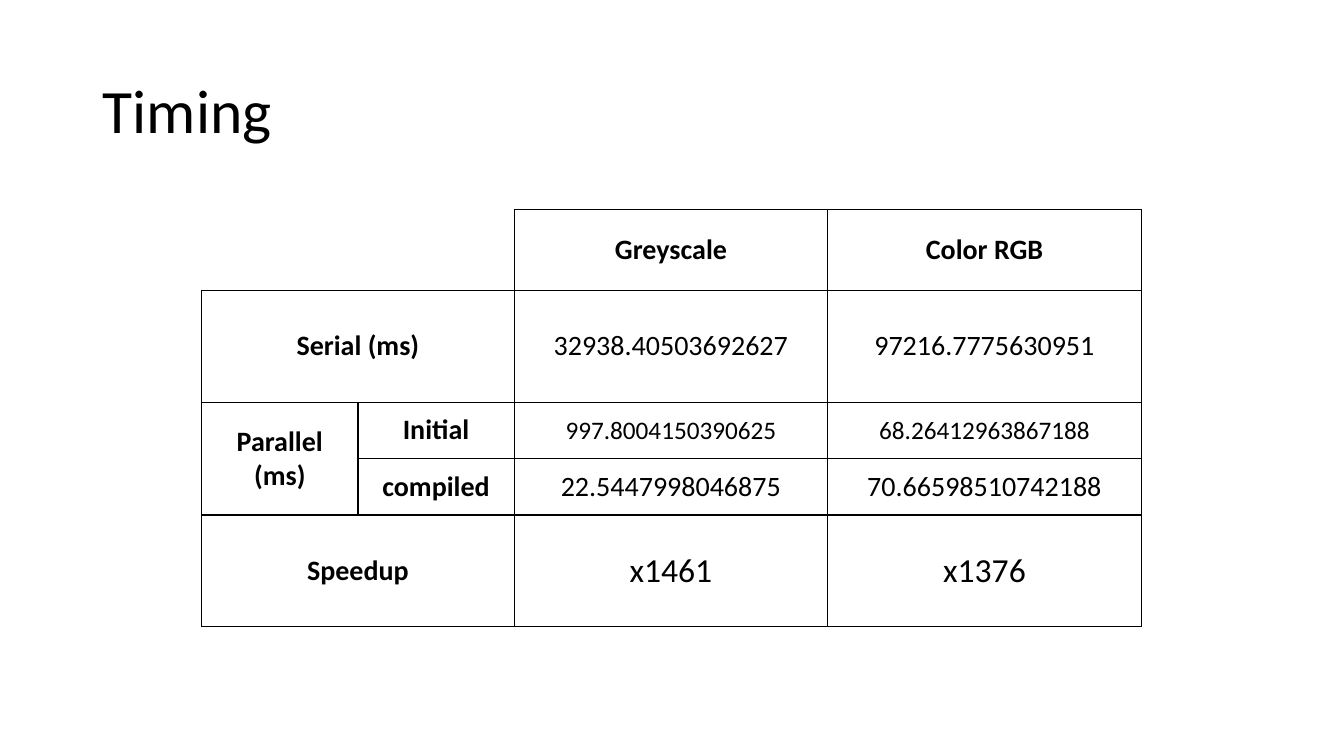
from lxml.etree import SubElement
from pptx import Presentation
from pptx.dml.color import RGBColor
from pptx.enum.text import MSO_ANCHOR, PP_ALIGN
from pptx.oxml.ns import qn
from pptx.util import Inches, Pt

BLACK = RGBColor(0, 0, 0)
FONT = "Calibri"
LABEL_COLUMNS = 2
COLUMN_WIDTHS = (1.55, 1.55, 3.11, 3.11)
ROW_HEIGHTS = (0.8, 1.11, 0.56, 0.56, 1.11)
# Text of each row and the size of its values
TIMINGS = (
    (("", "", "Greyscale", "Color RGB"), 20),
    (("Serial (ms)", "", "32938.40503692627", "97216.7775630951"), 20),
    (("Parallel (ms)", "Initial", "997.8004150390625", "68.26412963867188"), 18),
    (("", "compiled", "22.5447998046875", "70.66598510742188"), 20),
    (("Speedup", "", "x1461", "x1376"), 24),
)
# First and last cell of each merged area
MERGES = (((0, 0), (0, 1)), ((1, 0), (1, 1)), ((2, 0), (3, 0)), ((4, 0), (4, 1)))


def format_font(font, size, bold=False):
    font.name = FONT
    font.size = Pt(size)
    font.bold = bold
    font.color.rgb = BLACK


def add_title(slide, wording):
    title = slide.shapes.title
    title.left, title.top = Inches(0.92), Inches(0.4)
    title.width, title.height = Inches(11.5), Inches(1.45)
    title.text_frame.text = wording
    title.text_frame.vertical_anchor = MSO_ANCHOR.MIDDLE
    heading = title.text_frame.paragraphs[0]
    heading.alignment = PP_ALIGN.LEFT
    heading.line_spacing = 0.9
    format_font(heading.runs[0].font, 44)


def set_borders(cell, hidden=()):
    properties = cell._tc.get_or_add_tcPr()
    for side in ("L", "R", "T", "B"):
        border = SubElement(properties, qn(f"a:ln{side}"), w=str(Pt(1)))
        if side in hidden:
            SubElement(border, qn("a:noFill"))
        else:
            fill = SubElement(border, qn("a:solidFill"))
            SubElement(fill, qn("a:srgbClr"), val=str(BLACK))


def fill_cell(cell, wording, size, bold):
    cell.fill.background()
    cell.vertical_anchor = MSO_ANCHOR.MIDDLE
    if wording:
        cell.text_frame.text = wording
        paragraph = cell.text_frame.paragraphs[0]
        paragraph.alignment = PP_ALIGN.CENTER
        format_font(paragraph.runs[0].font, size, bold)


def add_timing_table(slide):
    frame = slide.shapes.add_table(
        len(ROW_HEIGHTS), len(COLUMN_WIDTHS), Inches(2), Inches(2.08),
        Inches(sum(COLUMN_WIDTHS)), Inches(sum(ROW_HEIGHTS)))
    table = frame.table
    table.first_row = table.horz_banding = False
    for column, width in zip(table.columns, COLUMN_WIDTHS):
        column.width = Inches(width)
    for row, height in zip(table.rows, ROW_HEIGHTS):
        row.height = Inches(height)
    for first, last in MERGES:
        table.cell(*first).merge(table.cell(*last))

    # Labels are bold; the empty corner has no outer border
    for r, (wordings, value_size) in enumerate(TIMINGS):
        for c, wording in enumerate(wordings):
            cell = table.cell(r, c)
            is_label = c < LABEL_COLUMNS
            set_borders(cell, "LT" if r == 0 and is_label else "")
            fill_cell(cell, wording, 20 if is_label else value_size,
                      is_label or r == 0)


def main():
    presentation = Presentation()
    presentation.slide_width = Inches(13.33)
    presentation.slide_height = Inches(7.5)
    slide = presentation.slides.add_slide(presentation.slide_layouts[5])
    add_title(slide, "Timing")
    add_timing_table(slide)
    presentation.save("out.pptx")


if __name__ == "__main__":
    main()
